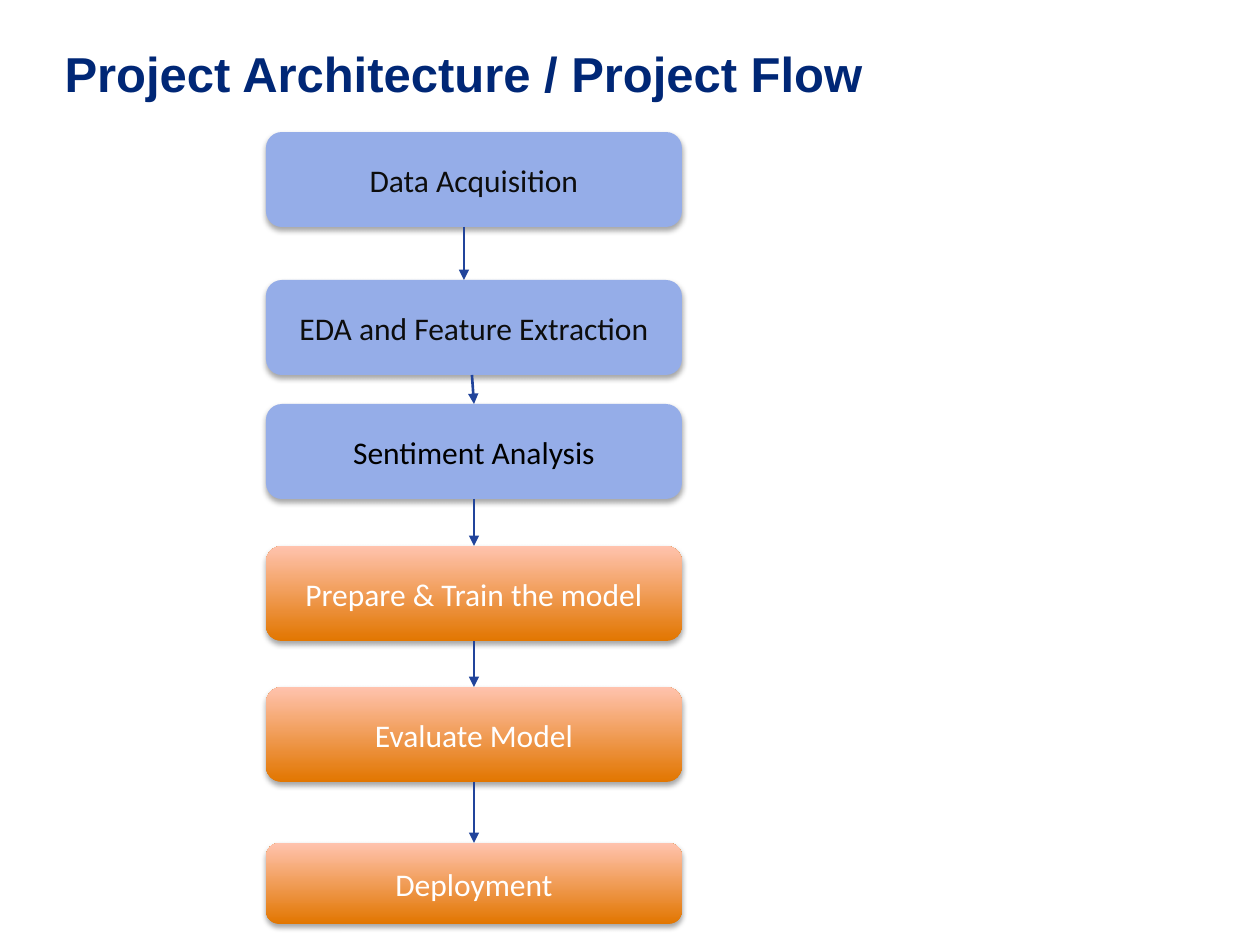
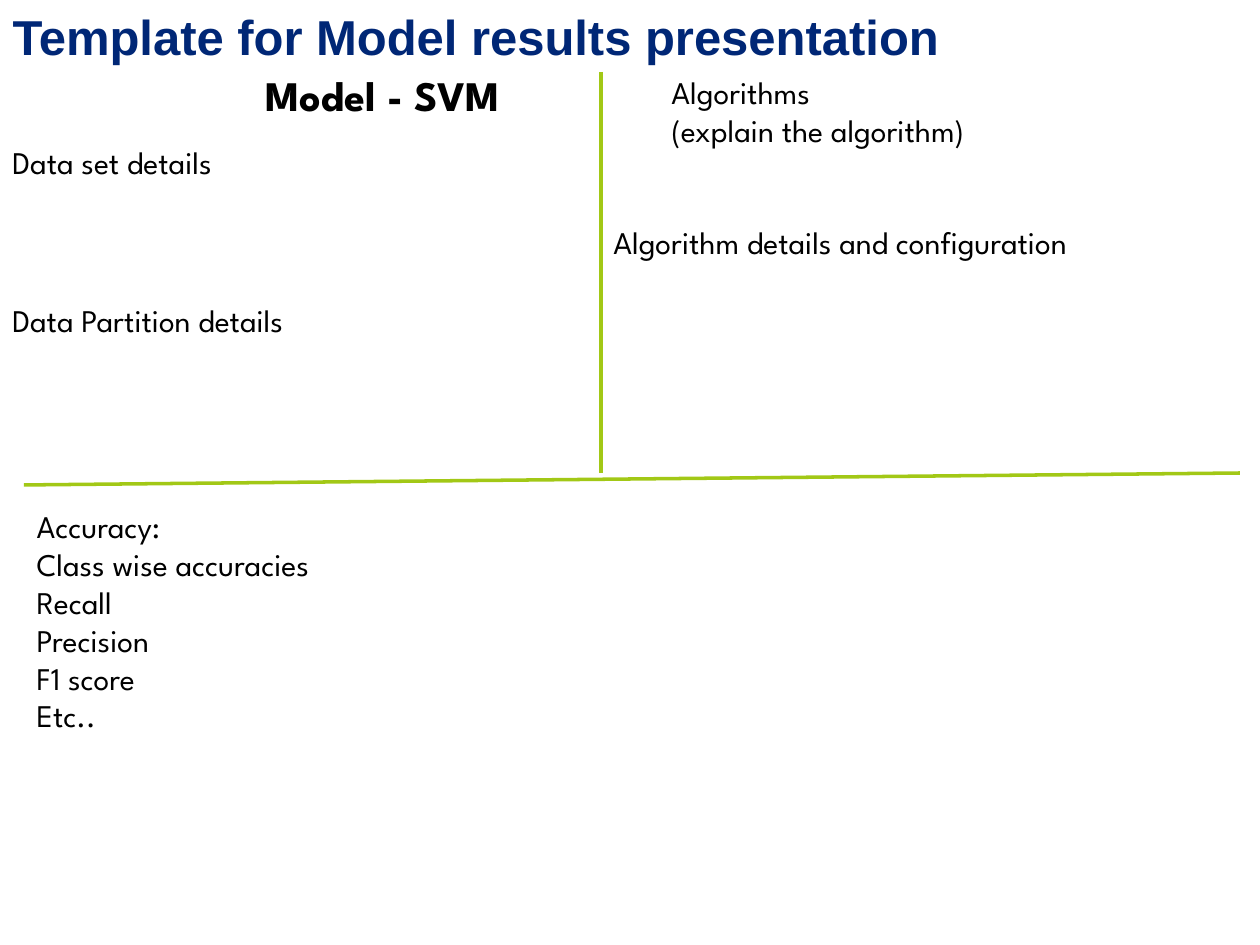
from itertools import pairwise
from lxml.etree import SubElement
from pptx import Presentation
from pptx.dml.color import RGBColor
from pptx.enum.shapes import MSO_CONNECTOR as CONN, MSO_SHAPE as SHAPE
from pptx.enum.text import MSO_ANCHOR as ANCHOR, MSO_AUTO_SIZE as AUTO, PP_ALIGN as ALIGN
from pptx.oxml.ns import qn
from pptx.util import Pt

NAVY, BLUE, GREEN = "002776", "21449B", "A2C816"
PERIWINKLE, ORANGE, PEACH = "95ADE8", "E27600", "FFC3AE"
BLACK, INK, WHITE = "000000", "0D0D0D", "FFFFFF"
TITLE_FONT, FLOW_FONT, BODY_FONT = "Arial", "Calibri", "League Spartan"
STEP_LEFT, STEP_WIDTH = 266, 416
STEPS = [
    ("Data Acquisition", 132, 95, INK, False),
    ("EDA and Feature Extraction", 280, 95, INK, False),
    ("Sentiment Analysis", 404, 95, BLACK, False),
    ("Prepare & Train the model", 546, 95, WHITE, True),
    ("Evaluate Model", 687, 95, WHITE, True),
    ("Deployment", 843, 81, WHITE, True),
]
ARROW_XS = [(464, 464), (472, 474), (474, 474), (474, 474), (474, 474)]
NOTES = [
    (["Data set details"], 0, 137, 272, 50),
    (["Data Partition details"], 0, 295, 355, 50),
    (["Algorithms", "(explain the algorithm)"], 659, 67, 348, 88),
    (["Algorithm details and configuration"], 601, 217, 659, 50),
]
METRICS = ["Accuracy:", "Class wise accuracies", "Recall", "Precision", "F1 score", "Etc.."]


def px(n):
    return round(n * 914400 / 126)


def rgb(color):
    return RGBColor.from_string(color)


def write(tf, lines, font, size, color, bold=False, align=ALIGN.LEFT):
    tf.text = "\n".join(lines)
    tf.word_wrap = True
    for p in tf.paragraphs:
        p.alignment = align
        p.space_before = Pt(0)
        p.font.name = font
        p.font.size = Pt(size)
        p.font.bold = bold
        p.font.color.rgb = rgb(color)


def fill_placeholder(sp, box, lines, *style):
    sp.left, sp.top, sp.width, sp.height = map(px, box)
    tf = sp.text_frame
    tf.auto_size = AUTO.NONE
    tf.vertical_anchor = ANCHOR.TOP
    for p_pr in (p._p.get_or_add_pPr() for p in add_lines(tf, lines)):
        p_pr.set("marL", "0")
        p_pr.set("indent", "0")
        SubElement(p_pr, qn("a:buNone"))
    style_lines(tf, *style)


def add_lines(tf, lines):
    tf.text = "\n".join(lines)
    return tf.paragraphs


def style_lines(tf, font, size, color, bold=False, align=ALIGN.LEFT):
    tf.word_wrap = True
    for p in tf.paragraphs:
        p.alignment = align
        p.space_before = Pt(0)
        p.font.name = font
        p.font.size = Pt(size)
        p.font.bold = bold
        p.font.color.rgb = rgb(color)


def write(tf, lines, *style):
    add_lines(tf, lines)
    style_lines(tf, *style)


def add_title(s, text, *box):
    fill_placeholder(s.shapes.title, box, [text], TITLE_FONT, 28, NAVY, True)


def add_text(s, lines, box, size=18, bold=False):
    sp = s.shapes.add_textbox(*map(px, box))
    write(sp.text_frame, lines, BODY_FONT, size, BLACK, bold)


def add_shadow(sp):
    sp.shadow.inherit = False
    effects = sp._element.spPr.find(qn("a:effectLst"))
    shadow = SubElement(effects, qn("a:outerShdw"), blurRad=str(Pt(3.1)),
                        dist=str(Pt(1.8)), dir="5400000", rotWithShape="0")
    color = SubElement(shadow, qn("a:srgbClr"), val=BLACK)
    SubElement(color, qn("a:alpha"), val="35000")


def add_step(s, text, top, height, color, graded):
    sp = s.shapes.add_shape(SHAPE.ROUNDED_RECTANGLE,
                            *map(px, (STEP_LEFT, top, STEP_WIDTH, height)))
    if graded:
        sp.fill.gradient()
        sp.fill.gradient_angle = 90
        for stop, shade in zip(sp.fill.gradient_stops, (ORANGE, PEACH)):
            stop.color.rgb = rgb(shade)
    else:
        sp.fill.solid()
        sp.fill.fore_color.rgb = rgb(PERIWINKLE)
    sp.line.fill.background()
    add_shadow(sp)
    sp.text_frame.vertical_anchor = ANCHOR.MIDDLE
    write(sp.text_frame, [text], FLOW_FONT, 18, color, False, ALIGN.CENTER)


def add_line(s, ends, color, width, arrow=False):
    line = s.shapes.add_connector(CONN.STRAIGHT, *map(px, ends))
    line.line.color.rgb = rgb(color)
    line.line.width = Pt(width)
    if arrow:
        SubElement(line.line._get_or_add_ln(), qn("a:tailEnd"), type="triangle")
    SubElement(line._element.spPr, qn("a:effectLst"))


def build_flow(prs):
    s = prs.slides.add_slide(prs.slide_layouts[5])
    add_title(s, "Project Architecture / Project Flow", 52, 37, 845, 72)
    for step in STEPS:
        add_step(s, *step)
    for (x1, x2), (upper, lower) in zip(ARROW_XS, pairwise(STEPS)):
        add_line(s, (x1, upper[1] + upper[2], x2, lower[1]), BLUE, 1.5, arrow=True)


def build_results(prs):
    s = prs.slides.add_slide(prs.slide_layouts[1])
    add_title(s, "Template for Model results presentation", 0, 0, 1070, 72)
    add_line(s, (601, 72, 601, 473), GREEN, 2)
    add_line(s, (24, 485, 1240, 473), GREEN, 2)
    for lines, *box in NOTES:
        add_text(s, lines, box)
    fill_placeholder(s.placeholders[1], (24, 501, 719, 280), METRICS, BODY_FONT, 18, BLACK)
    add_text(s, ["Model - SVM"], (253, 63, 334, 63), 24, True)


def main():
    prs = Presentation()
    prs.slide_width, prs.slide_height = px(1260), px(945)
    build_flow(prs)
    build_results(prs)
    prs.save("out.pptx")


if __name__ == "__main__":
    main()
